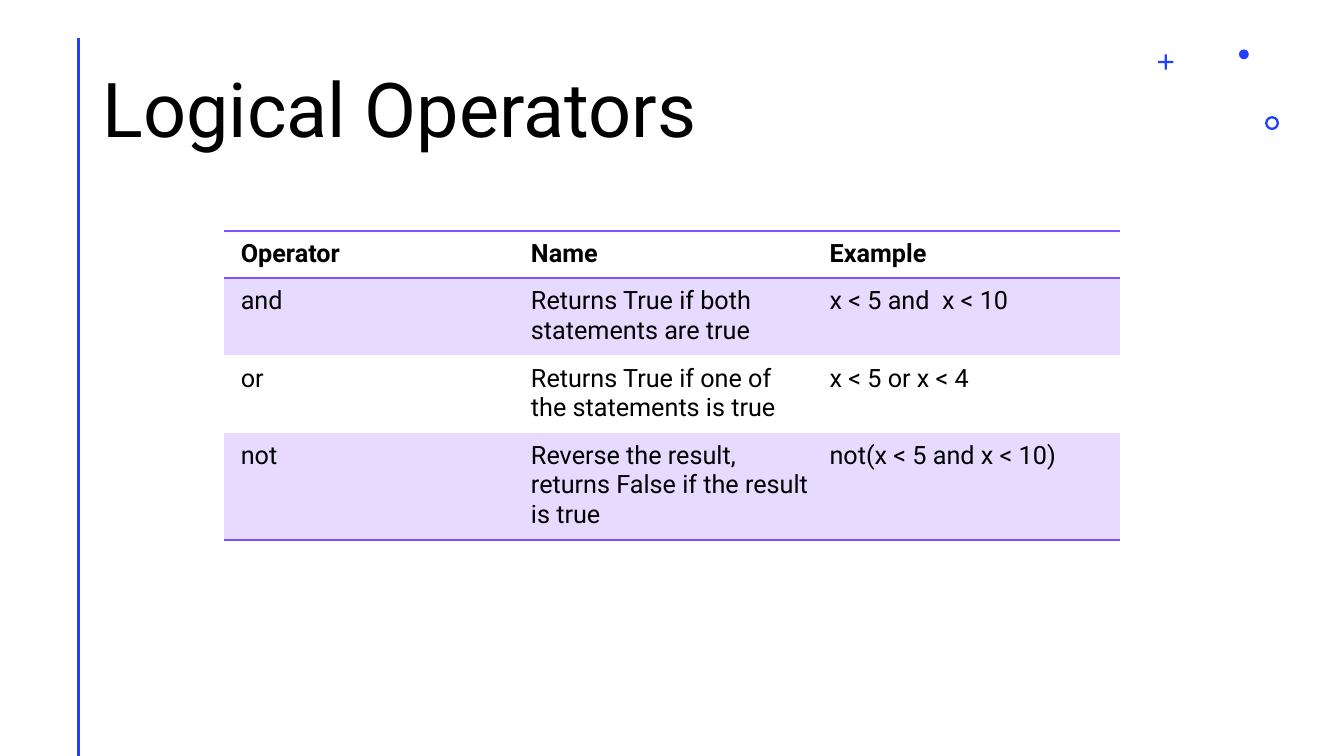
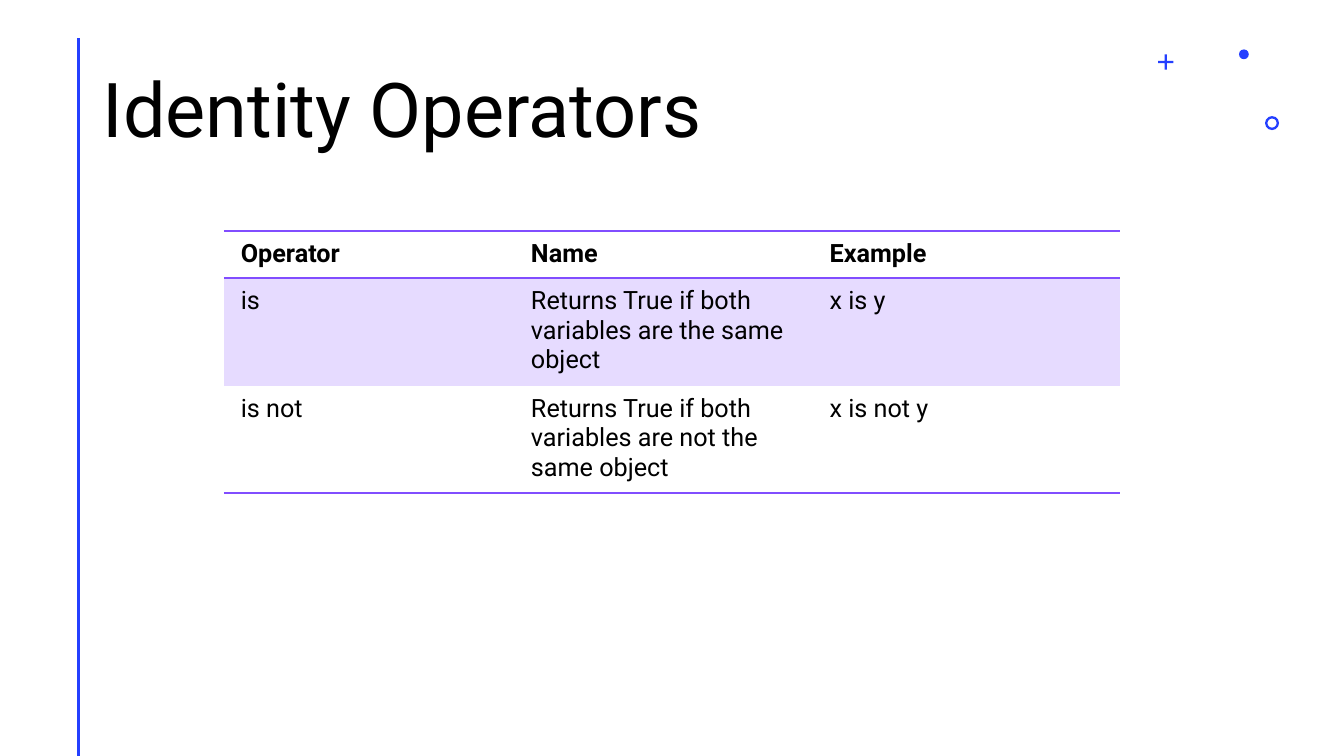
from lxml import etree
from pptx import Presentation
from pptx.dml.color import RGBColor
from pptx.enum.shapes import MSO_CONNECTOR, MSO_SHAPE
from pptx.enum.text import MSO_ANCHOR
from pptx.oxml.ns import qn
from pptx.util import Pt

STRAIGHT = MSO_CONNECTOR.STRAIGHT
CROSS, DONUT, OVAL = MSO_SHAPE.CROSS, MSO_SHAPE.DONUT, MSO_SHAPE.OVAL
MIDDLE = MSO_ANCHOR.MIDDLE

BLUE = RGBColor(0x24, 0x3F, 0xFF)
VIOLET = RGBColor(0x81, 0x4D, 0xFF)
LILAC = RGBColor(0xE6, 0xDB, 0xFF)
BLACK = RGBColor(0, 0, 0)
FONT = "Roboto"

PAGE_BOX = (0, 0, 960, 540)
TITLE_BOX = (66.24, 28.8, 828, 104.4)
TABLE_BOX = (160, 165, 640)
TEXT_SIZE = 18
LINE_HEIGHT = 21.1
CELL_INSET = 6
HEADINGS = ("Operator", "Name", "Example")

# Each row gives the number of text lines it needs, then its cells.
SLIDES = (
    ("Logical Operators", (
        (2, ("and", "Returns True if both statements are true", "x < 5 and  x < 10")),
        (2, ("or", "Returns True if one of the statements is true", "x < 5 or x < 4")),
        (3, ("not", "Reverse the result, returns False if the result is true",
             "not(x < 5 and x < 10)")),
    )),
    ("Identity Operators", (
        (3, ("is", "Returns True if both variables are the same object", "x is y")),
        (3, ("is not", "Returns True if both variables are not the same object",
             "x is not y")),
    )),
)


def write_text(frame, text, size=TEXT_SIZE, bold=False, spacing=1.0):
    """Write one formatted paragraph into a text frame."""
    frame.word_wrap = True
    para = frame.paragraphs[0]
    para.line_spacing = spacing
    span = para.add_run()
    span.text = text
    span.font.name = FONT
    span.font.size = Pt(size)
    span.font.bold = bold
    span.font.color.rgb = BLACK


def add_ornament(page, kind, left, top, size, adjustment=None):
    """Draw one small blue ornament."""
    shape = page.shapes.add_shape(kind, Pt(left), Pt(top), Pt(size), Pt(size))
    shape.shadow.inherit = False
    shape.fill.solid()
    shape.fill.fore_color.rgb = BLUE
    shape.line.fill.background()
    if adjustment is not None:
        shape.adjustments[0] = adjustment


def add_decoration(page, box):
    """Draw the vertical rule and the corner ornaments of a slide."""
    left, top, width, height = box
    rule_left = Pt(left + 56)
    rule = page.shapes.add_connector(
        STRAIGHT, rule_left, Pt(top + 27.5), rule_left, Pt(top + height))
    rule.line.color.rgb = BLUE
    rule.line.width = Pt(2)
    etree.SubElement(rule.element.spPr, qn("a:effectLst"))
    right = left + width
    add_ornament(page, CROSS, right - 132.7, top + 38.9, 10.8, 0.43)
    add_ornament(page, DONUT, right - 56.4, top + 82.9, 10, 0.17)
    add_ornament(page, OVAL, right - 75, top + 35.3, 7)


def add_title(page, box, text):
    """Place the slide title, centred vertically in its box."""
    title = page.shapes.add_textbox(*map(Pt, box))
    write_text(title.text_frame, text, size=54, spacing=0.9)
    title.text_frame.vertical_anchor = MIDDLE


def set_borders(cell, ruled_sides):
    """Draw violet borders on the ruled sides and clear the others."""
    properties = cell._tc.get_or_add_tcPr()
    for index, side in enumerate("LRTB"):
        border = etree.Element(qn("a:ln" + side), w=str(Pt(1)))
        if side in ruled_sides:
            fill = etree.SubElement(border, qn("a:solidFill"))
            etree.SubElement(fill, qn("a:srgbClr"), val=str(VIOLET))
        else:
            etree.SubElement(border, qn("a:noFill"))
        properties.insert(index, border)


def add_operator_table(page, box, rows):
    """Place the table of operators with a ruled heading and banded rows."""
    left, top, width = box
    all_rows = ((1, HEADINGS),) + rows
    heights = [lines * LINE_HEIGHT + 2 * CELL_INSET for lines, _ in all_rows]
    table = page.shapes.add_table(
        len(all_rows), len(HEADINGS), Pt(left), Pt(top), Pt(width), Pt(sum(heights))).table
    table.first_row = True
    table.horz_banding = False
    for row_index, (_, texts) in enumerate(all_rows):
        table.rows[row_index].height = Pt(heights[row_index])
        ruled_sides = {0: "TB", 1: "T", len(rows): "B"}.get(row_index, "")
        for column_index, text in enumerate(texts):
            cell = table.cell(row_index, column_index)
            cell.margin_left = Pt(CELL_INSET if column_index else 2 * CELL_INSET)
            cell.margin_right = cell.margin_top = cell.margin_bottom = Pt(CELL_INSET)
            if row_index % 2:
                cell.fill.solid()
                cell.fill.fore_color.rgb = LILAC
            else:
                cell.fill.background()
            set_borders(cell, ruled_sides)
            write_text(cell.text_frame, text, bold=row_index == 0)


def add_operator_slide(deck, title, rows):
    """Add one slide with a title and its table of operators."""
    page = deck.slides.add_slide(deck.slide_layouts[6])
    add_decoration(page, PAGE_BOX)
    add_title(page, TITLE_BOX, title)
    add_operator_table(page, TABLE_BOX, rows)


def main():
    """Build and save the deck."""
    deck = Presentation()
    deck.slide_width, deck.slide_height = map(Pt, PAGE_BOX[2:])
    for title, rows in SLIDES:
        add_operator_slide(deck, title, rows)
    deck.save("out.pptx")


if __name__ == "__main__":
    main()
